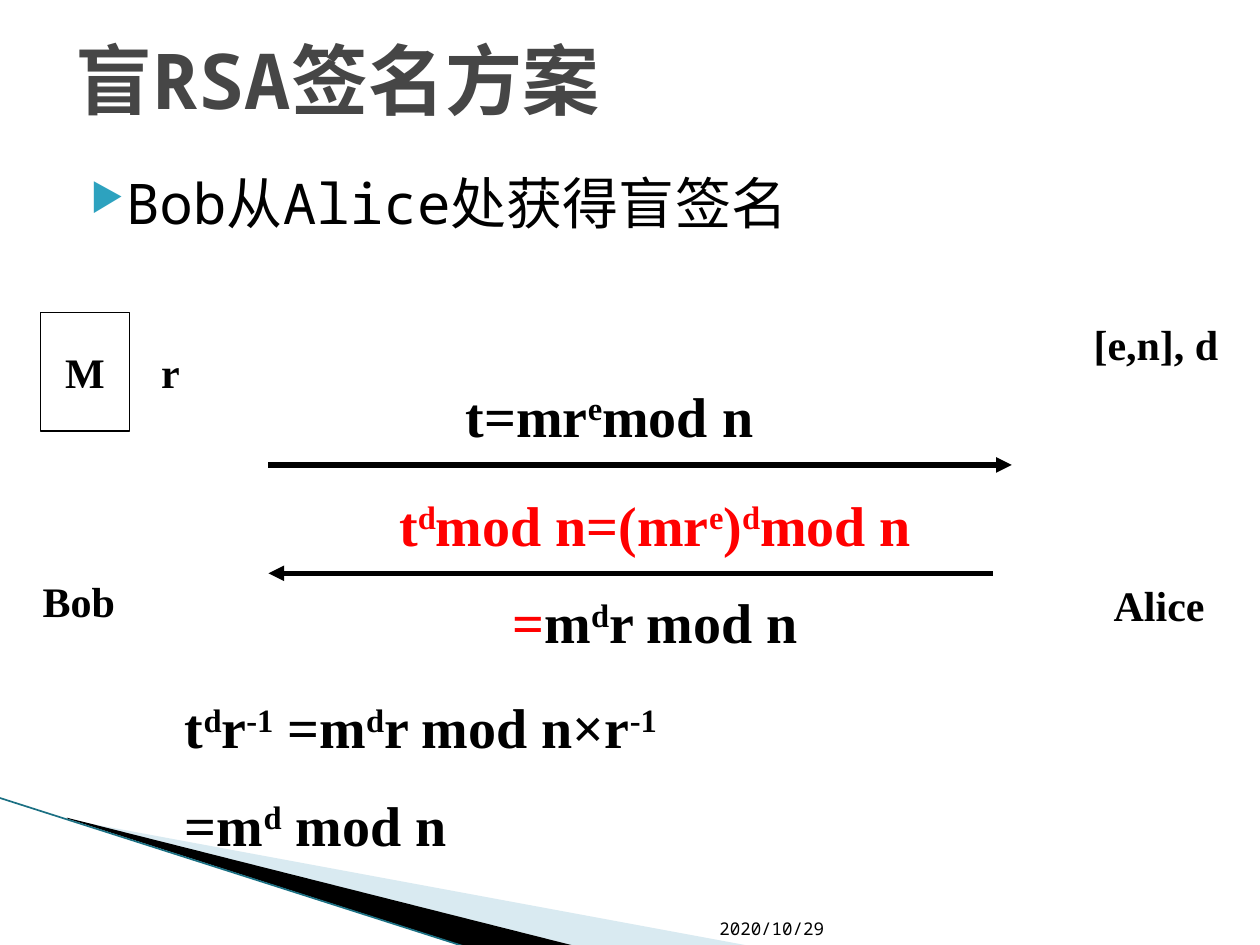
from lxml.etree import SubElement
from pptx import Presentation
from pptx.dml.color import RGBColor
from pptx.enum.shapes import MSO_CONNECTOR, MSO_SHAPE
from pptx.enum.text import MSO_ANCHOR, PP_ALIGN
from pptx.oxml.ns import qn
from pptx.util import Pt

COLORS = {"black": "000000", "white": "FFFFFF", "red": "FF0000", "title": "464646",
          "bullet": "2DA2BF", "wedge": "A0CBDC", "edge": "1B7083"}
MONO, SERIF = "Noto Sans Mono", "Times New Roman"


def rgb(name):
    return RGBColor.from_string(COLORS[name])


def write(s, lines, size, font=SERIF, color="black", bold=True, align=PP_ALIGN.LEFT,
          anchor=MSO_ANCHOR.TOP, wrap=True):
    """Fill a shape with lines in which every second piece between bars is superscript."""
    tf = s.text_frame
    tf.word_wrap, tf.vertical_anchor = wrap, anchor
    for i, line in enumerate(lines):
        p = tf.paragraphs[0] if i == 0 else tf.add_paragraph()
        p.alignment = align
        if i:
            p.space_before = Pt(17.5)
        for j, piece in enumerate(line.split("|")):
            if not piece:
                continue
            r = p.add_run()
            r.text = piece
            r.font.name, r.font.size, r.font.bold = font, Pt(size), bold
            r.font.color.rgb = rgb(color)
            SubElement(r.font._element, qn("a:ea")).set("typeface", font)
            if j % 2:
                r.font._element.set("baseline", "30000")
    return tf


prs = Presentation()
prs.slide_width, prs.slide_height = Pt(720), Pt(540)
slide = prs.slides.add_slide(prs.slide_layouts[6])
shapes = slide.shapes

# Corner decoration
wedges = [("wedge", [(39.6, 468.5), (428.4, 540.5), (328.3, 540.5), (39.6, 468)]),
          ("black", [(38.2, 467.3), (329, 540.7), (267.8, 541.4), (38.9, 468)])]
for color, points in wedges:
    builder = shapes.build_freeform(Pt(points[0][0]), Pt(points[0][1]))
    builder.add_line_segments([(Pt(x), Pt(y)) for x, y in points[1:]])
    s = builder.convert_to_shape()
    s.shadow.inherit = False
    s.fill.solid()
    s.fill.fore_color.rgb = rgb(color)
    s.line.fill.background()
    if color == "wedge":
        fill_color = s._element.spPr.find(qn("a:solidFill"))[0]
        SubElement(fill_color, qn("a:alpha")).set("val", "40000")

# Decoration edge and the two message arrows: start, end, colour, width, arrowhead
lines = [((-0.7, 455.8), (267.1, 541.4), "edge", 0.95, False),
         ((153.4, 265.7), (578.2, 265.7), "black", 3, True),
         ((567.4, 327.6), (153.4, 327.6), "black", 3, True)]
for start, end, color, width, arrow in lines:
    s = shapes.add_connector(MSO_CONNECTOR.STRAIGHT, *map(Pt, start + end))
    s.line.color.rgb = rgb(color)
    s.line.width = Pt(width)
    if arrow:
        SubElement(s.line._get_or_add_ln(), qn("a:tailEnd")).set("type", "triangle")
    SubElement(s._element.spPr, qn("a:effectLst"))

# Title, bullet and date
s = shapes.add_textbox(Pt(36), Pt(0), Pt(648), Pt(90))
write(s, ["盲RSA签名方案"], 44, MONO, "title", anchor=MSO_ANCHOR.MIDDLE)

s = shapes.add_textbox(Pt(36), Pt(93), Pt(648), Pt(410))
p = write(s, ["Bob从Alice处获得盲签名"], 32, MONO, bold=False).paragraphs[0]
pPr = p._p.get_or_add_pPr()
pPr.set("marL", str(Pt(28.8)))
pPr.set("indent", str(Pt(-20.16)))
SubElement(SubElement(pPr, qn("a:buClr")), qn("a:srgbClr")).set("val", COLORS["bullet"])
SubElement(pPr, qn("a:buSzPct")).set("val", "68000")
SubElement(pPr, qn("a:buChar")).set("char", "▶")

s = shapes.add_textbox(Pt(404), Pt(504.7), Pt(80.6), Pt(35.3))
write(s, ["2020/10/29"], 10, MONO, bold=False, anchor=MSO_ANCHOR.BOTTOM)

# Message box
s = shapes.add_shape(MSO_SHAPE.RECTANGLE, Pt(23), Pt(178.6), Pt(51), Pt(67.7))
s.shadow.inherit = False
s.fill.solid()
s.fill.fore_color.rgb = rgb("white")
s.line.color.rgb = rgb("black")
s.line.width = Pt(0.75)
write(s, ["M"], 24, align=PP_ALIGN.CENTER, anchor=MSO_ANCHOR.MIDDLE, wrap=False)

# Parties and their values
labels = [("Bob", 17.3, 325.4, 102.2), ("Alice", 629.3, 327.6, 73.4),
          ("[e,n], d", 617.8, 178.6, 87.8), ("r", 85, 194.4, 51)]
for text, x, y, w in labels:
    write(shapes.add_textbox(Pt(x), Pt(y), Pt(w), Pt(36)), [text], 24)

# Formulas
s = shapes.add_textbox(Pt(249), Pt(214.6), Pt(198.7), Pt(46))
write(s, ["t=mr|e|mod n"], 32, align=PP_ALIGN.CENTER)

s = shapes.add_textbox(Pt(184.3), Pt(276.5), Pt(380.2), Pt(104.4))
tf = write(s, ["t|d|mod n=(mr|e|)|d|mod n", "=||m|d|r mod n"], 32,
           color="red", align=PP_ALIGN.CENTER)
for r in tf.paragraphs[1].runs[1:]:
    r.font.color.rgb = rgb("black")

s = shapes.add_textbox(Pt(98.6), Pt(392.4), Pt(465.8), Pt(104.4))
write(s, ["t|d|r|-1| =m|d|r mod n×r|-1", "=m|d| mod n"], 32)

prs.save("out.pptx")
